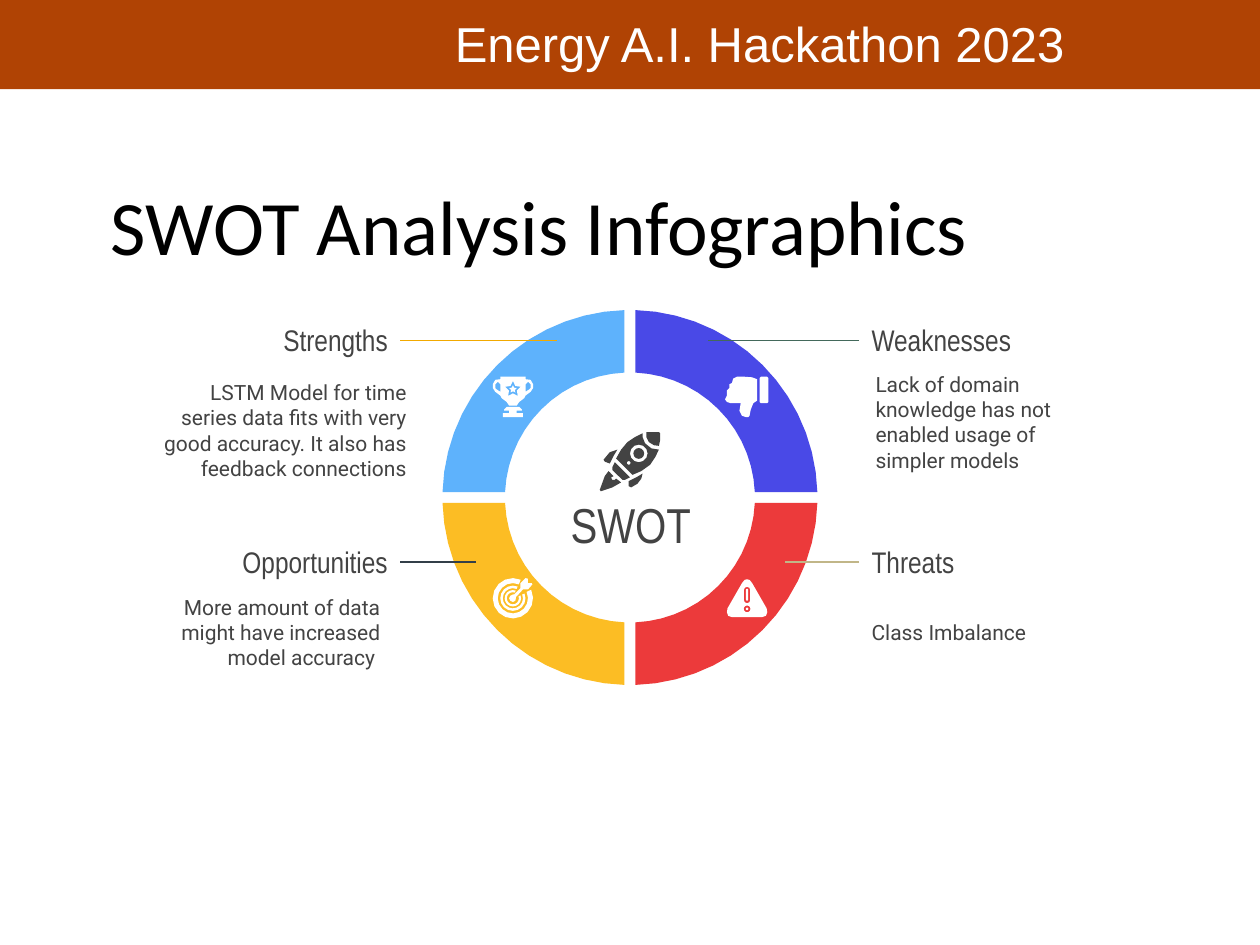
"""Build the SWOT analysis slide with a four-part ring and icons."""
import math
from lxml import etree
from pptx import Presentation
from pptx.dml.color import RGBColor
from pptx.enum import shapes, text
from pptx.oxml import ns
from pptx.util import Cm, Pt

COLORS = {
    "banner": "B04304", "white": "FFFFFF", "black": "000000", "gray": "434343",
    "blue": "5EB2FC", "indigo": "4949E7", "amber": "FCBD24", "red": "EC3A3B",
    "gold": "F2A900", "green": "43695B", "slate": "333F48", "sand": "C1B688",
}
CENTER_X, CENTER_Y = 12.7, 10.03
OUTER, INNER, HALF_GAP = 3.78, 2.52, 0.11
ICON_DX, ICON_DY, ICON_UNIT = 2.36, 2.03, 0.0254
HEADING_WIDTH, HEADING_HEIGHT = 5.23, 1.19
ALIGN = text.PP_ALIGN


def arc(radius, start, end, x=0, y=0, steps=14):
    """Return points along an arc, with angles in degrees."""
    angles = [math.radians(start + (end - start) * i / steps) for i in range(steps + 1)]
    return [(x + radius * math.cos(a), y + radius * math.sin(a)) for a in angles]


def circle(x, y, radius):
    """Return the outline of a small circle."""
    return arc(radius, 0, 360, x, y, 12)[:-1]


def sector(outer, inner, start, end):
    """Return the outline of an open ring."""
    return arc(outer, start, end) + arc(inner, end, start)


def star(y, radius):
    """Return a five-pointed star."""
    return [arc(radius * (0.5 if i % 2 else 1), 36 * i - 90, 0, 0, y, 1)[0] for i in range(10)]


def capsule(width, top, bottom):
    """Return an upright bar with round ends."""
    half = width / 2
    return arc(half, 180, 360, 0, top + half, 4) + arc(half, 0, 180, 0, bottom - half, 4)


def mirror(points):
    """Reflect points across the vertical axis."""
    return [(-x, y) for x, y in points]


TROPHY_SIDE = [(10, -16), (10, -14), (14, -13.5), (16, -10), (16, -7), (14, -4),
               (10, -1), (9, 1), (5, 4), (3, 7)]
TROPHY_HANDLE = [(12, -12), (10, -10), (10, -4), (13, -6), (14, -7), (14, -10)]
BASE_SIDE = [(5, 8), (7, 10), (7, 11), (3, 11), (3, 13), (8, 13), (8, 16)]
WARNING_SIDE = [(0, -15), (2, -14.5), (4, -12), (15.5, 8), (16, 11), (15, 14), (12, 15)]

ICONS = {
    "trophy": [
        TROPHY_SIDE + mirror(TROPHY_SIDE)[::-1], TROPHY_HANDLE, mirror(TROPHY_HANDLE),
        star(-6, 6.5), star(-6, 3.2), BASE_SIDE + mirror(BASE_SIDE)[::-1],
    ],
    "thumb": [
        [(11, -16), (16, -16), (17, -15), (17, 4), (16, 5), (11, 5), (10, 4), (10, -15)],
        [(1, 16), (2, 15), (3, 10), (5, 5), (8, 3), (8, -14), (4, -15.5), (-2, -16),
         (-8, -16), (-11, -14.5), (-12, -11), (-14, -10), (-14, -7), (-16, -5),
         (-16, -1), (-17.5, 2), (-16, 4), (-13, 5), (-5, 5), (-6, 11), (-4, 15), (-1, 16)],
    ],
    "target": [
        sector(16, 12, -25, 293), sector(10, 8, -22, 292), sector(6.5, 4.8, -20, 290),
        [(0, -3), (1, -3), (6, -8), (6, -12), (10, -16), (12, -15.5), (12, -12),
         (15, -12), (15.5, -11), (12, -7), (8, -7), (2.5, -1), (2, 2), (0, 3),
         (-2, 2), (-3, 0), (-2, -2)],
    ],
    "warning": [
        WARNING_SIDE + mirror(WARNING_SIDE)[::-1], capsule(5, -9, 4), circle(0, 8.5, 2.7),
        capsule(1.8, -7.5, 2), circle(0, 8.5, 1),
    ],
    "rocket": [
        [(13, -24), (20, -24), (23, -24), (24, -23), (24, -18), (23, -13), (19, -13.5),
         (15, -16), (13, -20)],
        [(10, -23), (4, -20), (-2, -16), (-7, -10), (-11, -3), (2, 10), (9, 7), (16, 2),
         (20, -4), (23, -10), (17, -11), (12, -15), (10, -20)],
        circle(7, -7, 7), circle(-1, 0.5, 1.5), circle(7, -7, 4.3),
        [(-12, 0), (-14, 4), (-14, 6), (-6, 14), (-4, 14), (0, 12)],
        [(10, 9), (5, 12), (-1, 15), (-1, 19), (1, 20), (6, 17), (9, 13)],
        [(-10, -10), (-16, -8), (-21, -2), (-20, -0.5), (-16, 1), (-13, -5)],
        [(-17, 7), (-20, 11), (-24, 22), (-23, 23), (-14, 20), (-7, 16), (-11, 13),
         (-12, 14), (-14, 14), (-15, 12), (-13, 11), (-16, 8)],
    ],
}

QUADRANTS = [
    dict(side=1, half=-1, fill="indigo", heading="Weaknesses", icon="thumb",
         line="green", line_end=14.27, box=(17.4, 7.44, 5.23, 2.13),
         body=["Lack of domain knowledge has not enabled usage of simpler models"]),
    dict(side=-1, half=1, fill="amber", heading="Opportunities", icon="target",
         line="slate", line_end=9.6, box=(3.35, 11.68, 4.57, 2.13),
         body=["More amount of data", "might have increased", "model accuracy "]),
    dict(side=-1, half=-1, fill="blue", heading="Strengths", icon="trophy",
         line="gold", line_end=11.23, box=(2.84, 7.21, 5.61, 2.92),
         body=["LSTM Model for time series data fits with very good accuracy. It also has",
               "feedback connections"]),
    dict(side=1, half=1, fill="red", heading="Threats", icon="warning",
         line="sand", line_end=15.82, box=(17.32, 11.68, 5.23, 2.13),
         body=["Class Imbalance "]),
]

presentation = Presentation()
presentation.slide_width, presentation.slide_height = Cm(25.4), Cm(19.05)
slide = presentation.slides.add_slide(presentation.slide_layouts[6])


def rgb(name):
    return RGBColor.from_string(COLORS[name])


def paint(shape, color):
    shape.shadow.inherit = False
    shape.fill.solid()
    shape.fill.fore_color.rgb = rgb(color)
    shape.line.fill.background()


def add_text(paragraphs, box, font, size, color="gray", align=ALIGN.LEFT, wrap=True,
             anchor=text.MSO_ANCHOR.MIDDLE, inset=0.25):
    frame = slide.shapes.add_textbox(*map(Cm, box)).text_frame
    frame.word_wrap, frame.vertical_anchor = wrap, anchor
    frame.margin_left = frame.margin_right = Cm(0.25)
    frame.margin_top = frame.margin_bottom = Cm(inset)
    for index, content in enumerate(paragraphs):
        paragraph = frame.paragraphs[0] if index == 0 else frame.add_paragraph()
        paragraph.alignment = align
        run = paragraph.add_run()
        run.text = content
        run.font.name, run.font.size = font, Pt(size)
        run.font.color.rgb = rgb(color)


def add_outline(contours, color, x, y, unit=1.0):
    placed = [[(Cm(x + px * unit), Cm(y + py * unit)) for px, py in points]
              for points in contours]
    builder = slide.shapes.build_freeform(*placed[0][0])
    for index, points in enumerate(placed):
        if index:
            builder.move_to(*points[0])
        builder.add_line_segments(points[1:], close=True)
    paint(builder.convert_to_shape(), color)


def add_line(x1, x2, y, color):
    line = slide.shapes.add_connector(shapes.MSO_CONNECTOR.STRAIGHT, Cm(x1), Cm(y), Cm(x2), Cm(y))
    line.line.color.rgb, line.line.width = rgb(color), Pt(0.75)
    etree.SubElement(line._element.spPr, ns.qn("a:effectLst"))


def add_quadrant(side, half, fill, heading, icon, line, line_end, box, body):
    edges = [math.degrees(math.asin(HALF_GAP / radius)) for radius in (OUTER, INNER)]
    outer, inner = (arc(radius, edge, 90 - edge)
                    for radius, edge in zip((OUTER, INNER), edges))
    ring = [(side * x, half * y) for x, y in outer + inner[::-1]]
    add_outline([ring], fill, CENTER_X, CENTER_Y)
    align = ALIGN.LEFT if side > 0 else ALIGN.RIGHT
    left = 17.32 if side > 0 else 2.84
    top = 10.72 if half > 0 else 6.25
    add_text([heading], (left, top, HEADING_WIDTH, HEADING_HEIGHT), "Arial Narrow", 17, align=align)
    add_text(body, box, "Roboto", 12, align=align)
    add_line(left if side > 0 else left + HEADING_WIDTH, line_end, top + 0.61, line)
    add_outline(ICONS[icon], "white", CENTER_X + side * ICON_DX, CENTER_Y + half * ICON_DY,
                ICON_UNIT)


banner = slide.shapes.add_shape(shapes.MSO_SHAPE.RECTANGLE, 0, Cm(-0.03), Cm(25.4), Cm(1.83))
paint(banner, "banner")
add_text(["Energy A.I. Hackathon 2023"], (8.92, 0.15, 12.95, 1.45), "Arial", 28, "white",
         wrap=False, anchor=text.MSO_ANCHOR.TOP, inset=0.13)
add_text(["SWOT Analysis Infographics"], (1.98, 3.86, 21.46, 1.35), "Calibri", 44, "black")
add_text(["SWOT"], (11.23, 9.78, 2.97, 1.57), "Arial Narrow", 28, align=ALIGN.CENTER)
add_outline(ICONS["rocket"], "gray", CENTER_X, 9.32, ICON_UNIT)
for quadrant in QUADRANTS:
    add_quadrant(**quadrant)

presentation.save("out.pptx")
